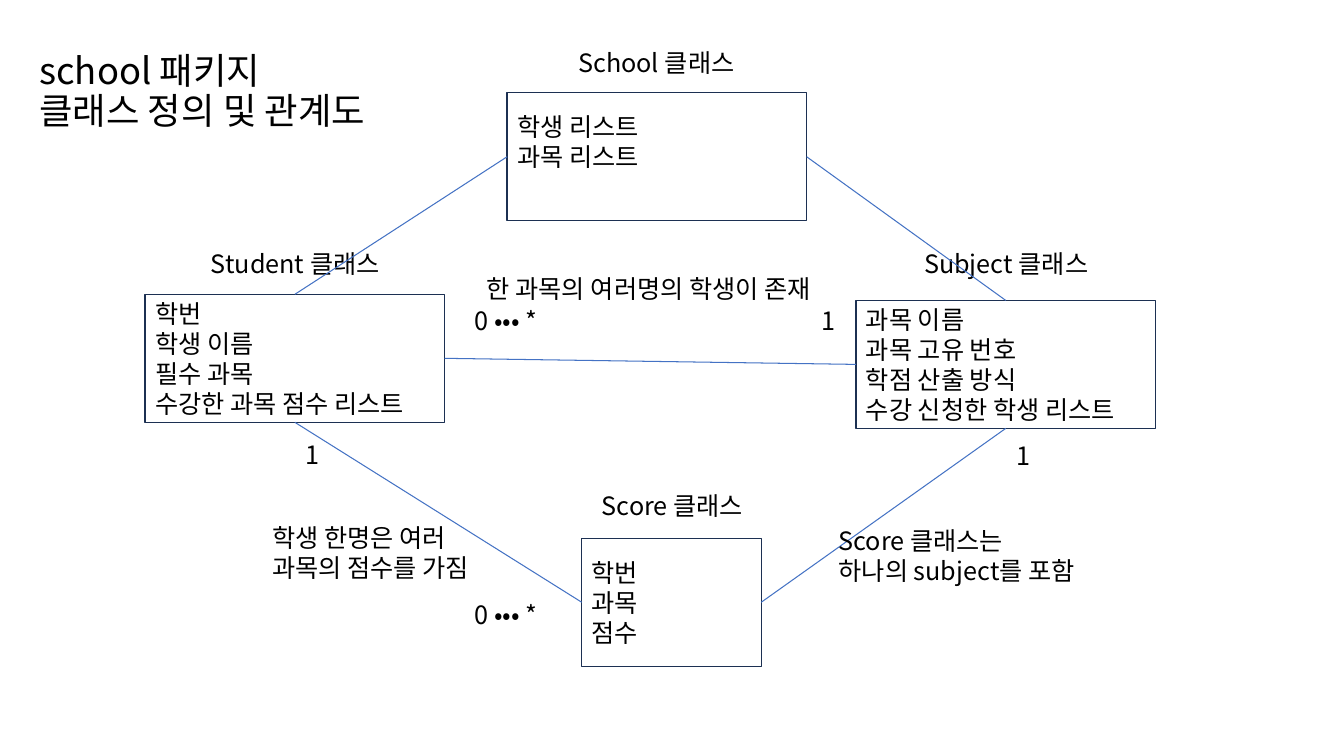
from lxml.etree import SubElement
from pptx import Presentation
from pptx.dml.color import RGBColor
from pptx.enum.shapes import MSO_CONNECTOR as CONNECTOR, MSO_SHAPE as SHAPE
from pptx.enum.text import MSO_ANCHOR as ANCHOR, MSO_AUTO_SIZE as AUTO_SIZE, PP_ALIGN as ALIGN
from pptx.oxml.ns import qn
from pptx.util import Inches, Pt

FONT = "Noto Sans CJK KR"
COLORS = {"text": "000000", "box": "FFFFFF", "border": "1C3052", "relation": "4472C4"}
BOX_HEIGHT = 1.27
TOP, LEFT, BOTTOM, RIGHT = range(4)


def color(name):
    return RGBColor.from_string(COLORS[name])


def write_lines(frame, lines, size=18, spacing=21.5, align=ALIGN.LEFT):
    frame.word_wrap = True
    for index, line in enumerate(lines):
        paragraph = frame.add_paragraph() if index else frame.paragraphs[0]
        paragraph.alignment = align
        paragraph.line_spacing = Pt(spacing)
        run = paragraph.add_run()
        run.text = line
        run.font.size = Pt(size)
        run.font.name = FONT
        run.font.color.rgb = color("text")
        SubElement(run.font._element, qn("a:ea"), typeface=FONT)


def add_title(slide, lines):
    title = slide.shapes.title
    title.left, title.top = Inches(0.29), Inches(0.38)
    title.width, title.height = Inches(4.44), Inches(1.07)
    frame = title.text_frame
    frame.auto_size = AUTO_SIZE.NONE
    frame.vertical_anchor = ANCHOR.MIDDLE
    write_lines(frame, lines, size=26, spacing=28)


def add_label(slide, left, top, width, lines, align=ALIGN.LEFT):
    height = 0.1 + 0.3 * len(lines)
    label = slide.shapes.add_textbox(Inches(left), Inches(top), Inches(width), Inches(height))
    write_lines(label.text_frame, lines, align=align)
    label.text_frame.auto_size = AUTO_SIZE.SHAPE_TO_FIT_TEXT


def add_class(slide, name, left, top, width, name_left, name_top, fields, bottom_inset=0.05):
    box = slide.shapes.add_shape(
        SHAPE.RECTANGLE, Inches(left), Inches(top), Inches(width), Inches(BOX_HEIGHT))
    box.shadow.inherit = False
    box.fill.solid()
    box.fill.fore_color.rgb = color("box")
    box.line.color.rgb = color("border")
    box.line.width = Pt(1)
    frame = box.text_frame
    frame.vertical_anchor = ANCHOR.MIDDLE
    frame.margin_bottom = Inches(bottom_inset)
    write_lines(frame, fields)
    add_label(slide, name_left, name_top, 2.24, [f"{name} 클래스"], ALIGN.CENTER)
    return box


def relate(slide, start, start_side, end, end_side):
    relation = slide.shapes.add_connector(CONNECTOR.STRAIGHT, 0, 0, 0, 0)
    relation.begin_connect(start, start_side)
    relation.end_connect(end, end_side)
    relation.line.color.rgb = color("relation")
    relation.line.width = Pt(0.75)
    SubElement(relation._element.spPr, qn("a:effectLst"))


def main():
    deck = Presentation()
    deck.slide_width, deck.slide_height = Inches(13.33), Inches(7.5)
    slide = deck.slides.add_slide(deck.slide_layouts[5])
    add_title(slide, ["school 패키지", "클래스 정의 및 관계도"])

    student = add_class(slide, "Student", 1.44, 2.92, 2.97, 1.81, 2.42,
                        ["학번", "학생 이름", "필수 과목", "수강한 과목 점수 리스트"])
    subject = add_class(slide, "Subject", 8.49, 2.98, 2.97, 8.86, 2.42,
                        ["과목 이름", "과목 고유 번호", "학점 산출 방식", "수강 신청한 학생 리스트"])
    score = add_class(slide, "Score", 5.77, 5.34, 1.78, 5.55, 4.82, ["학번", "과목", "점수"])
    school = add_class(slide, "School", 5.03, 0.92, 2.97, 5.39, 0.42,
                       ["학생 리스트", "과목 리스트"], bottom_inset=0.35)

    relate(slide, student, BOTTOM, score, LEFT)
    relate(slide, student, RIGHT, subject, LEFT)
    relate(slide, score, RIGHT, subject, BOTTOM)
    relate(slide, student, TOP, school, LEFT)
    relate(slide, subject, TOP, school, RIGHT)

    for left, top in [(2.93, 4.31), (8.05, 2.98), (9.98, 4.32)]:
        add_label(slide, left, top, 0.33, ["1"])
    for top in (2.98, 5.9):
        add_label(slide, 4.61, top, 1.05, ["0 ••• *"])

    add_label(slide, 2.6, 5.13, 2.45, ["학생 한명은 여러", "과목의 점수를 가짐"])
    add_label(slide, 4.73, 2.66, 3.83, ["한 과목의 여러명의 학생이 존재"])
    add_label(slide, 8.22, 5.16, 3.83, ["Score 클래스는", "하나의 subject를 포함"])
    deck.save("out.pptx")


if __name__ == "__main__":
    main()
